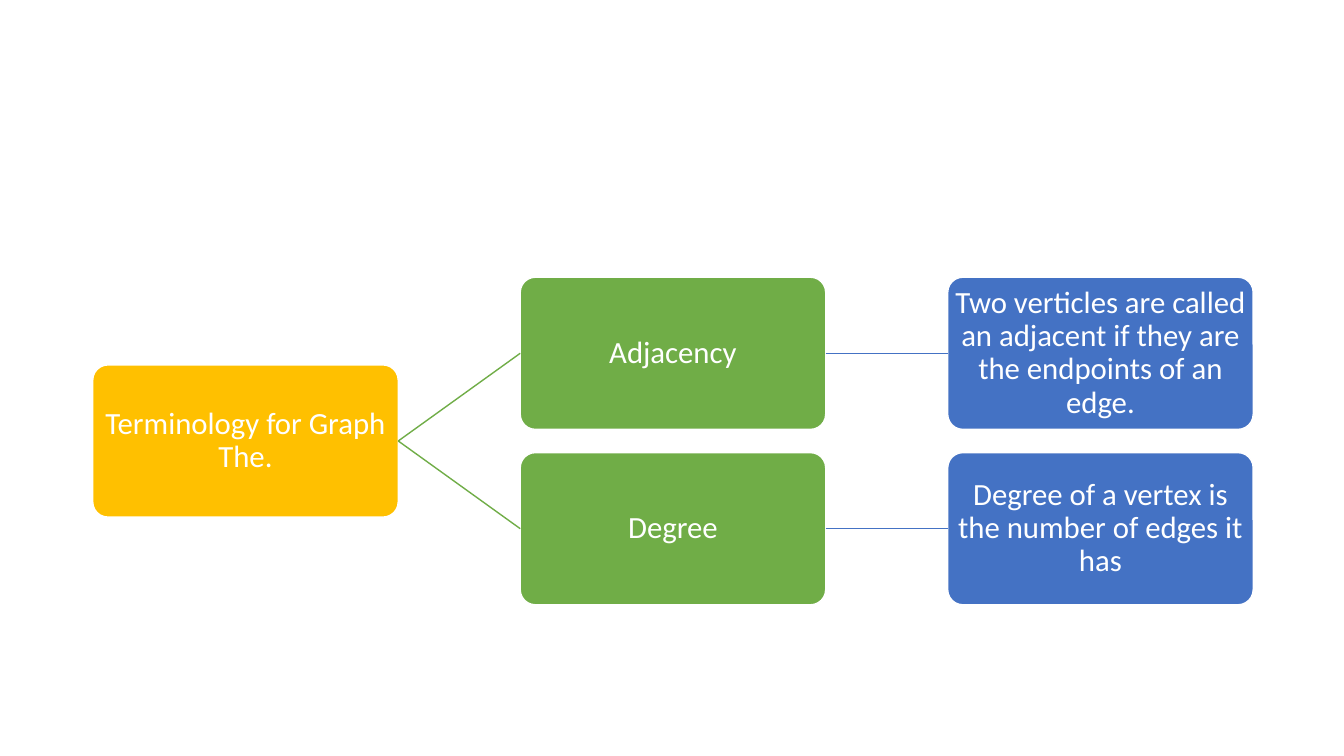
from pptx import Presentation
from pptx.dml.color import RGBColor
from pptx.enum.shapes import MSO_CONNECTOR, MSO_SHAPE
from pptx.enum.text import MSO_ANCHOR, PP_ALIGN
from pptx.oxml.ns import qn
from pptx.util import Inches, Pt
from lxml.etree import SubElement

ROOT = "Terminology for Graph The."
TERMS = [
    ("Adjacency", "Two verticles are called an adjacent if they are the endpoints of an edge."),
    ("Degree", "Degree of a vertex is the number of edges it has"),
]

WHITE = RGBColor(0xFF, 0xFF, 0xFF)
GOLD = RGBColor(0xFF, 0xC0, 0x00)
GREEN = RGBColor(0x70, 0xAD, 0x47)
BLUE = RGBColor(0x44, 0x72, 0xC4)
LEVEL_COLORS = [GOLD, GREEN, BLUE]

LEFT, TOP = 0.92, 2.75
BOX_WIDTH, BOX_HEIGHT = 3.03, 1.51
COLUMN_STEP = BOX_WIDTH + 1.21
ROW_STEP = BOX_HEIGHT + 0.23
RIGHT_SIDE, LEFT_SIDE = 3, 1


def add_box(slide, text, level, row):
    """Add a tree box; a fractional row lies between two rows."""
    box = slide.shapes.add_shape(
        MSO_SHAPE.ROUNDED_RECTANGLE,
        Inches(LEFT + level * COLUMN_STEP), Inches(TOP + row * ROW_STEP),
        Inches(BOX_WIDTH), Inches(BOX_HEIGHT))
    box.adjustments[0] = 0.1
    box.shadow.inherit = False
    box.fill.solid()
    box.fill.fore_color.rgb = LEVEL_COLORS[level]
    box.line.color.rgb = WHITE
    box.line.width = Pt(1)

    frame = box.text_frame
    frame.word_wrap = True
    frame.vertical_anchor = MSO_ANCHOR.MIDDLE
    frame.margin_left = frame.margin_right = Inches(0.02)
    frame.margin_top = frame.margin_bottom = Inches(0.02)
    paragraph = frame.paragraphs[0]
    paragraph.alignment = PP_ALIGN.CENTER
    paragraph.line_spacing = 0.9
    run = paragraph.add_run()
    run.text = text
    run.font.name = "Calibri"
    run.font.size = Pt(22)
    run.font.color.rgb = WHITE
    return box


def join(slide, parent, child, color):
    branch = slide.shapes.add_connector(MSO_CONNECTOR.STRAIGHT, 0, 0, 0, 0)
    branch.begin_connect(parent, RIGHT_SIDE)
    branch.end_connect(child, LEFT_SIDE)
    branch.line.color.rgb = color
    branch.line.width = Pt(1)
    SubElement(branch.element.spPr, qn("a:effectLst"))


def main():
    prs = Presentation()
    prs.slide_width, prs.slide_height = Inches(13.33), Inches(7.5)
    slide = prs.slides.add_slide(prs.slide_layouts[6])

    root = add_box(slide, ROOT, 0, (len(TERMS) - 1) / 2)
    for row, (term, definition) in enumerate(TERMS):
        term_box = add_box(slide, term, 1, row)
        definition_box = add_box(slide, definition, 2, row)
        join(slide, root, term_box, GREEN)
        join(slide, term_box, definition_box, BLUE)

    prs.save("out.pptx")


if __name__ == "__main__":
    main()
